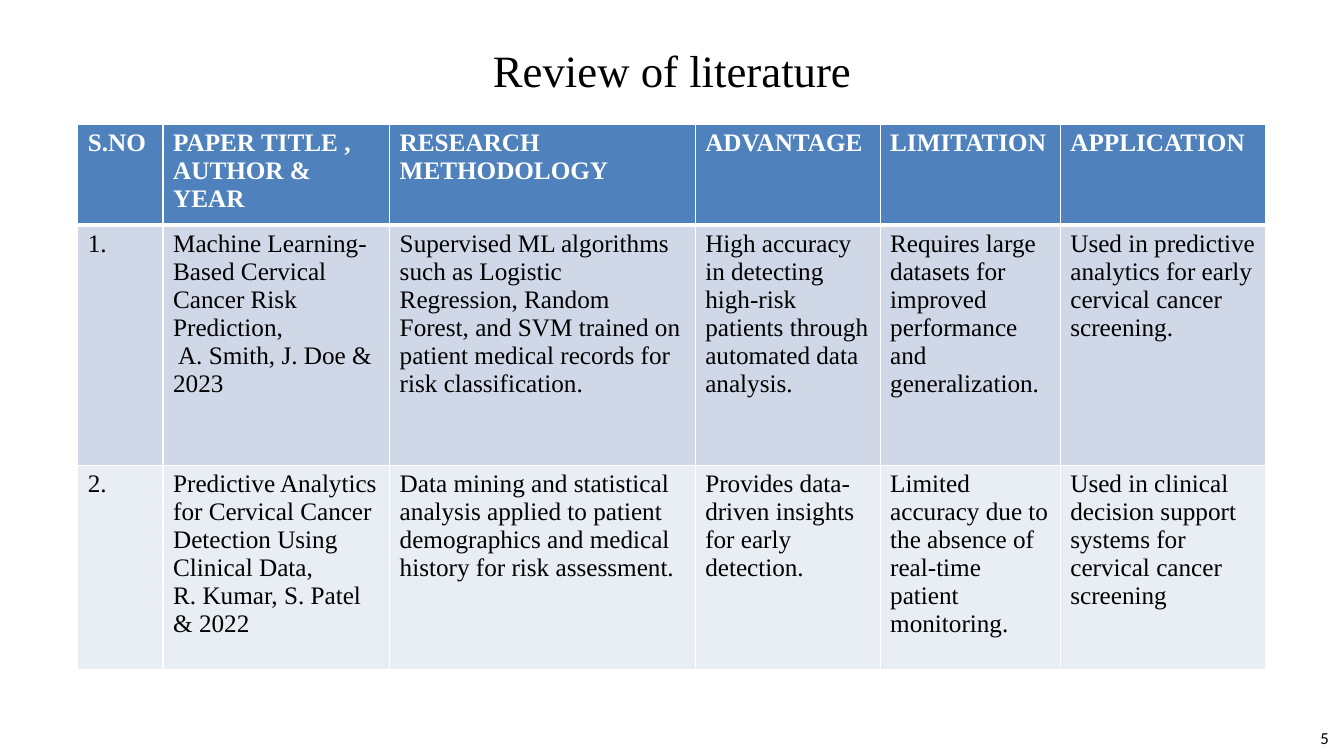
from lxml.etree import SubElement
from pptx import Presentation
from pptx.dml.color import RGBColor
from pptx.enum.text import MSO_ANCHOR as Anchor, PP_ALIGN as Align
from pptx.oxml.ns import qn
from pptx.util import Cm, Pt

BLACK = RGBColor(0x00, 0x00, 0x00)
WHITE = RGBColor(0xFF, 0xFF, 0xFF)
HEADER_BLUE = RGBColor(0x4F, 0x81, 0xBD)
ROW_BLUE = RGBColor(0xD0, 0xD8, 0xE8)
ROW_PALE = RGBColor(0xE9, 0xED, 0xF4)
SERIF = "Times New Roman"
SANS = "Calibri"

COLUMN_WIDTHS = [2.15, 5.71, 7.7, 4.66, 4.54, 5.17]
ROW_HEIGHTS = [2.32, 6.05, 5.16]
ROW_FILLS = [HEADER_BLUE, ROW_BLUE, ROW_PALE]
REVIEW = [
    ["S.NO", "PAPER TITLE , AUTHOR & YEAR", "RESEARCH METHODOLOGY",
     "ADVANTAGE", "LIMITATION", "APPLICATION"],
    ["1.",
     "Machine Learning-Based Cervical Cancer Risk Prediction,\n A. Smith, J. Doe & 2023",
     "Supervised ML algorithms such as Logistic Regression, Random Forest, "
     "and SVM trained on patient medical records for risk classification.",
     "High accuracy in detecting high-risk patients through automated data analysis.",
     "Requires large datasets for improved performance and generalization.",
     "Used in predictive analytics for early cervical cancer screening."],
    ["2.",
     "Predictive Analytics for Cervical Cancer Detection Using Clinical Data,\n"
     "R. Kumar, S. Patel & 2022",
     "Data mining and statistical analysis applied to patient demographics "
     "and medical history for risk assessment.",
     "Provides data-driven insights for early detection.",
     "Limited accuracy due to the absence of real-time patient monitoring.",
     "Used in clinical decision support systems for cervical cancer screening"],
]


def format_runs(text_frame, font_name, size, color, bold=False):
    for paragraph in text_frame.paragraphs:
        for run in paragraph.runs:
            run.font.name = font_name
            run.font.size = Pt(size)
            run.font.color.rgb = color
            run.font.bold = bold


def add_line_of_text(slide, box, text, font_name, size, align, anchor):
    frame = slide.shapes.add_textbox(*box).text_frame
    frame.word_wrap = True
    frame.vertical_anchor = anchor
    frame.text = text
    frame.paragraphs[0].alignment = align
    format_runs(frame, font_name, size, BLACK)
    return frame


def add_title(slide, box):
    title = add_line_of_text(slide, box, "Review of literature", SERIF, 32,
                             Align.CENTER, Anchor.MIDDLE)
    title.paragraphs[0].line_spacing = 1.5


def add_page_number(slide, box):
    add_line_of_text(slide, box, "5", SANS, 12, Align.RIGHT, Anchor.TOP)


def add_borders(cell, widths):
    properties = cell._tc.get_or_add_tcPr()
    for side, width in widths.items():
        border = SubElement(properties, qn(f"a:ln{side}"), w=str(Pt(width)))
        fill = SubElement(border, qn("a:solidFill"))
        SubElement(fill, qn("a:srgbClr"), val=str(WHITE))


def add_review_table(slide, box):
    review = slide.shapes.add_table(len(REVIEW), len(COLUMN_WIDTHS), *box).table
    for column, width in zip(review.columns, COLUMN_WIDTHS):
        column.width = Cm(width)
    for row, height in zip(review.rows, ROW_HEIGHTS):
        row.height = Cm(height)

    for r, texts in enumerate(REVIEW):
        is_header = r == 0
        # The rule between header and body is thicker
        borders = {"L": 1, "R": 1, "T": 3 if r == 1 else 1, "B": 3 if is_header else 1}
        for c, text in enumerate(texts):
            cell = review.cell(r, c)
            add_borders(cell, borders)
            cell.fill.solid()
            cell.fill.fore_color.rgb = ROW_FILLS[r]
            cell.text_frame.text = text
            format_runs(cell.text_frame, SERIF, 18,
                        WHITE if is_header else BLACK, is_header)


def main():
    deck = Presentation()
    deck.slide_width, deck.slide_height = Cm(33.87), Cm(19.05)
    slide = deck.slides.add_slide(deck.slide_layouts[6])

    add_page_number(slide, (Cm(30.35), Cm(18.21), Cm(3.39), Cm(0.77)))
    add_title(slide, (Cm(1.7), Cm(0.64), Cm(30.48), Cm(1.57)))
    add_review_table(slide, (Cm(1.96), Cm(3.13), Cm(sum(COLUMN_WIDTHS)),
                             Cm(sum(ROW_HEIGHTS))))
    deck.save("out.pptx")


if __name__ == "__main__":
    main()
